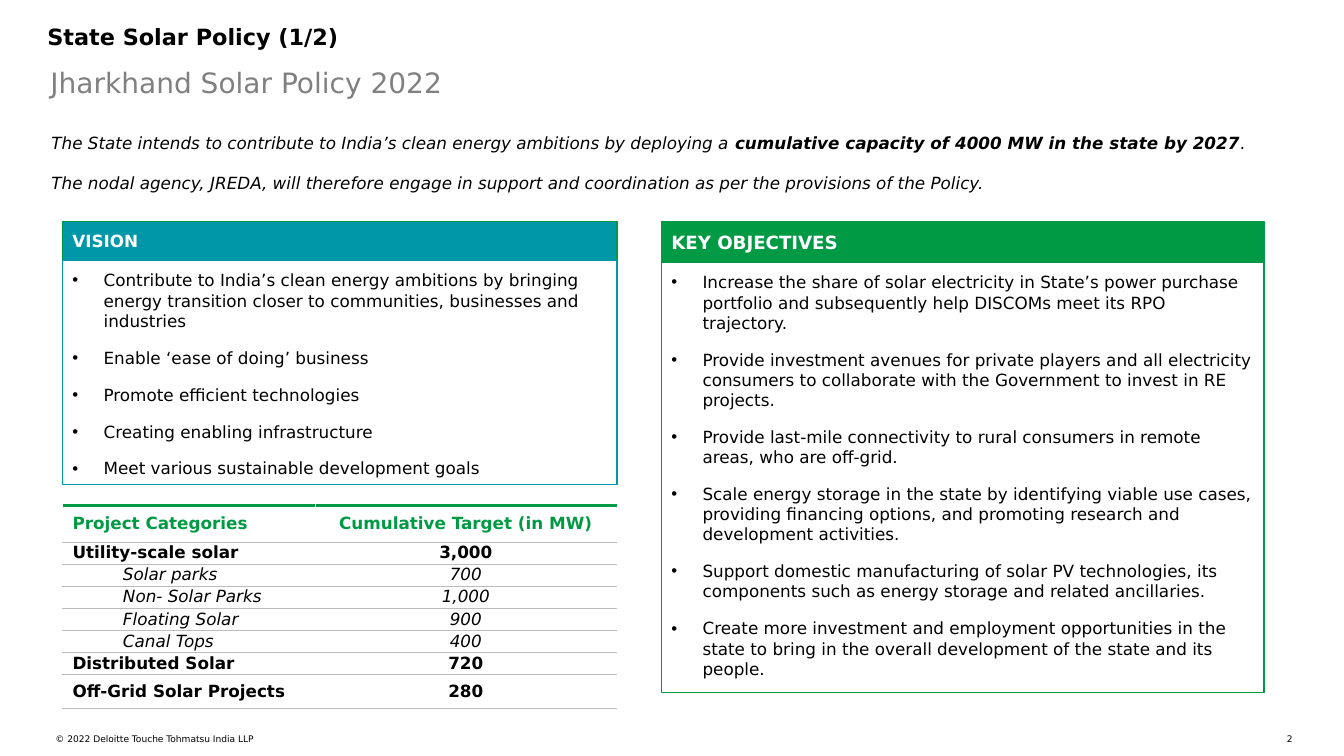
from lxml.etree import SubElement, fromstring
from pptx import Presentation
from pptx.dml.color import RGBColor
from pptx.enum.shapes import MSO_SHAPE as Preset
from pptx.enum.text import MSO_ANCHOR as Anchor, PP_ALIGN as Align
from pptx.oxml.ns import nsdecls, qn
from pptx.util import Inches, Pt

BLACK = RGBColor(0x00, 0x00, 0x00)
WHITE = RGBColor(0xFF, 0xFF, 0xFF)
GREY = RGBColor(0x80, 0x80, 0x80)
RULE_GREY = RGBColor(0xBB, 0xBC, 0xBC)
GREEN = RGBColor(0x00, 0x9A, 0x44)
TEAL = RGBColor(0x00, 0x97, 0xA9)

VISION = [
    "Contribute to India’s clean energy ambitions by bringing energy transition "
    "closer to communities, businesses and industries",
    "Enable ‘ease of doing’ business",
    "Promote efficient technologies",
    "Creating enabling infrastructure",
    "Meet various sustainable development goals",
]
OBJECTIVES = [
    "Increase the share of solar electricity in State’s power purchase portfolio "
    "and subsequently help DISCOMs meet its RPO trajectory.",
    "Provide investment avenues for private players and all electricity consumers "
    "to collaborate with the Government to invest in RE projects.",
    "Provide last-mile connectivity to rural consumers in remote areas, who are off-grid.",
    "Scale energy storage in the state by identifying viable use cases, providing "
    "financing options, and promoting research and development activities.",
    "Support domestic manufacturing of solar PV technologies, its components such "
    "as energy storage and related ancillaries.",
    "Create more investment and employment opportunities in the state to bring in "
    "the overall development of the state and its people.",
]
TARGETS = [
    ("Project Categories", "Cumulative Target (in MW)"),
    ("Utility-scale solar", "3,000"),
    ("Solar parks", "700"),
    ("Non- Solar Parks", "1,000"),
    ("Floating Solar", "900"),
    ("Canal Tops", "400"),
    ("Distributed Solar", "720"),
    ("Off-Grid Solar Projects", "280"),
]
SUBCATEGORIES = range(2, 6)
INTRO = [
    [
        ("The State intends to contribute to India’s clean energy ambitions by deploying a ", False),
        ("cumulative capacity of 4000 MW in the state by 2027", True),
        (".", False),
    ],
    [
        ("The nodal agency, JREDA, will therefore engage in support and coordination "
         "as per the provisions of the Policy.", False),
    ],
]


class PolicySlide:
    """Holds the style and the current slide; lengths are percentages of the slide's size."""

    font_name = "DejaVu Sans"
    body_size = 12

    def __init__(self, deck):
        self.width, self.height = deck.slide_width, deck.slide_height
        self.slide = deck.slides.add_slide(deck.slide_layouts[6])

    def across(self, share):
        return round(self.width * share / 100)

    def down(self, share):
        return round(self.height * share / 100)

    def place(self, left, top, width, height):
        return self.across(left), self.down(top), self.across(width), self.down(height)

    def style(self, run, color, size=body_size, bold=False, italic=False):
        font = run.font
        font.name, font.size, font.bold, font.italic = self.font_name, Pt(size), bold, italic
        font.color.rgb = color

    def frame(self, shape, inset):
        frame = shape.text_frame
        frame.word_wrap = True
        frame.margin_left = frame.margin_right = Inches(inset)
        frame.margin_top = frame.margin_bottom = Inches(inset)
        return frame

    def text(self, area, paragraphs, color=BLACK, size=body_size, italic=False,
             align=Align.LEFT, gap=0):
        frame = self.frame(self.slide.shapes.add_textbox(*self.place(*area)), 0)
        for index, parts in enumerate(paragraphs):
            paragraph = frame.add_paragraph() if index else frame.paragraphs[0]
            paragraph.alignment = align
            if index:
                paragraph.space_before = Pt(gap)
            for words, bold in parts:
                run = paragraph.add_run()
                run.text = words
                self.style(run, color, size, bold, italic)

    def box(self, area, outline, fill=None):
        shape = self.slide.shapes.add_shape(Preset.RECTANGLE, *self.place(*area))
        shape.shadow.inherit = False
        shape.line.color.rgb = outline
        shape.line.width = Pt(1)
        if fill is None:
            shape.fill.background()
        else:
            shape.fill.solid()
            shape.fill.fore_color.rgb = fill
        return self.frame(shape, 0.1)

    def panel(self, left, width, heading_height, body_height, heading, goals, color,
              heading_size=body_size):
        top = 29.33
        title = self.box((left, top, width, heading_height), GREEN, color)
        title.vertical_anchor = Anchor.MIDDLE
        title.text = heading
        title.paragraphs[0].alignment = Align.LEFT
        self.style(title.paragraphs[0].runs[0], WHITE, heading_size, bold=True)

        body = self.box((left, top + heading_height, width, body_height), color)
        body.vertical_anchor = Anchor.TOP
        body.text = "\n".join(goals)
        for paragraph in body.paragraphs:
            properties = paragraph._p.get_or_add_pPr()
            properties.set("marL", str(Inches(0.31)))
            properties.set("indent", str(-Inches(0.31)))
            SubElement(properties, qn("a:buFont")).set("typeface", "Arial")
            SubElement(properties, qn("a:buChar")).set("char", "•")
            paragraph.alignment = Align.LEFT
            paragraph.space_after = Pt(12)
            self.style(paragraph.runs[0], BLACK)

    def borders(self, cell, is_header):
        divider = (WHITE, 0.5) if is_header else None
        upper = (GREEN, 3) if is_header else (RULE_GREY, 0.5)
        sides = {"L": divider, "R": divider, "T": upper, "B": (RULE_GREY, 0.5)}
        for position, (side, line) in enumerate(sides.items()):
            color, points = line or (WHITE, 0)
            paint = (f'<a:solidFill><a:srgbClr val="{color}"/></a:solidFill>'
                     if line else "<a:noFill/>")
            cell._tc.get_or_add_tcPr().insert(position, fromstring(
                f'<a:ln{side} {nsdecls("a")} w="{Pt(points)}">{paint}</a:ln{side}>'))

    def table(self, left, top, column_widths, row_heights, rows):
        area = self.place(left, top, sum(column_widths), sum(row_heights))
        table = self.slide.shapes.add_table(len(rows), len(column_widths), *area).table
        table.first_row = table.horz_banding = False
        for column, width in zip(table.columns, column_widths):
            column.width = self.across(width)
        for index, (row, height, values) in enumerate(zip(table.rows, row_heights, rows)):
            row.height = self.down(height)
            is_header, is_sub = index == 0, index in SUBCATEGORIES
            for column, (cell, value) in enumerate(zip(row.cells, values)):
                cell.fill.background()
                self.borders(cell, is_header)
                cell.vertical_anchor = Anchor.MIDDLE
                cell.margin_left = cell.margin_right = Inches(0.1)
                cell.margin_top = cell.margin_bottom = 0
                paragraph = cell.text_frame.paragraphs[0]
                paragraph.text = value
                paragraph.alignment = Align.CENTER if column else Align.LEFT
                if is_sub and not column:
                    paragraph.level = 1
                    paragraph._p.get_or_add_pPr().set("marL", str(Inches(0.5)))
                self.style(paragraph.runs[0], GREEN if is_header else BLACK,
                           bold=not is_sub, italic=is_sub)


def main():
    deck = Presentation()
    deck.slide_width, deck.slide_height = Inches(13.33), Inches(7.5)
    page = PolicySlide(deck)
    page.text((93.62, 97.07, 2.55, 1.47), [[("2", False)]], size=6.5, align=Align.RIGHT)
    page.text((4.13, 97.07, 43.96, 2.93),
              [[("© 2022 Deloitte Touche Tohmatsu India LLP", False)]], size=6.5)
    page.text((3.53, 3.07, 93.62, 6.67), [[("State Solar Policy (1/2)", True)]], size=16)
    page.text((3.75, 8.67, 91.9, 5.33), [[("Jharkhand Solar Policy 2022", False)]], GREY, 20)
    page.text((3.83, 17.6, 93.62, 8.13), INTRO, italic=True, gap=14)
    page.table(4.65, 66.87, (18.78, 22.47), (4.8, *[2.93] * 6, 4.4), TARGETS)
    page.panel(4.65, 41.25, 5.07, 29.73, "VISION", VISION, TEAL)
    page.panel(49.21, 44.85, 5.33, 56.93, "KEY OBJECTIVES", OBJECTIVES, GREEN, 13)
    deck.save("out.pptx")


if __name__ == "__main__":
    main()
